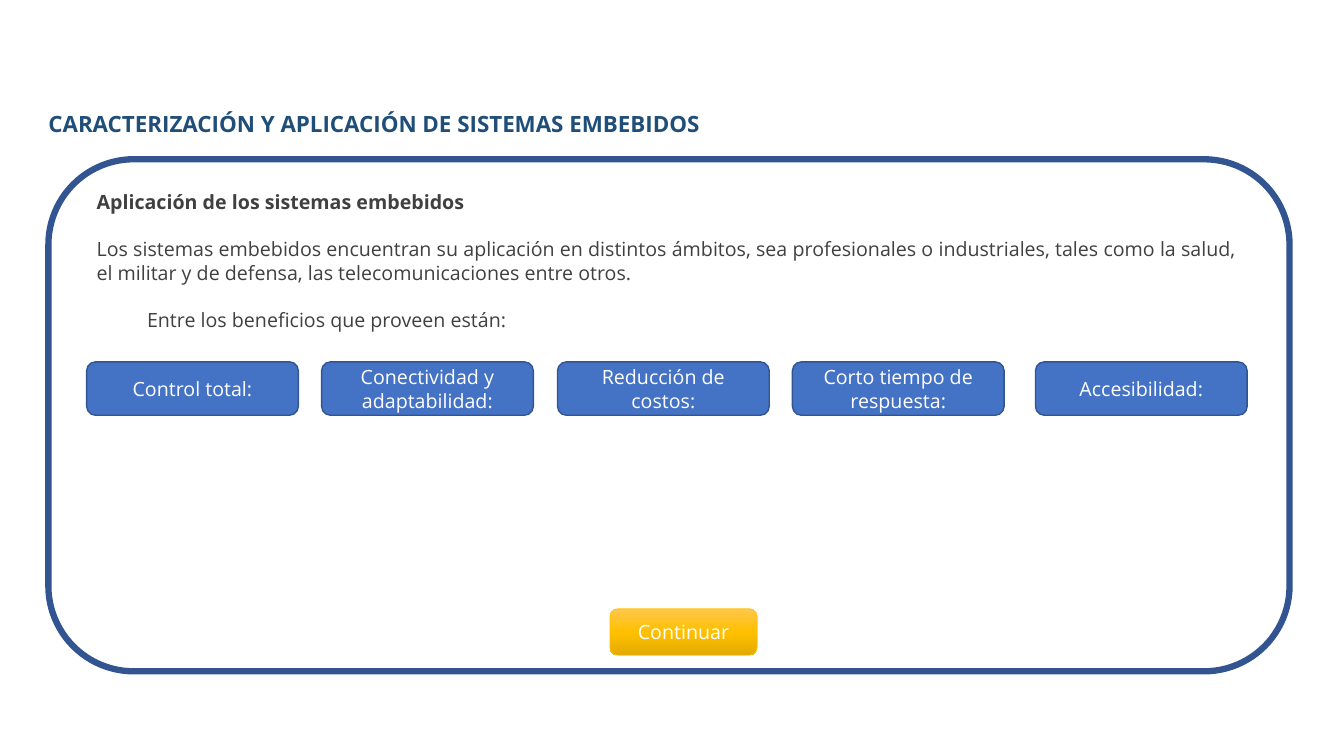
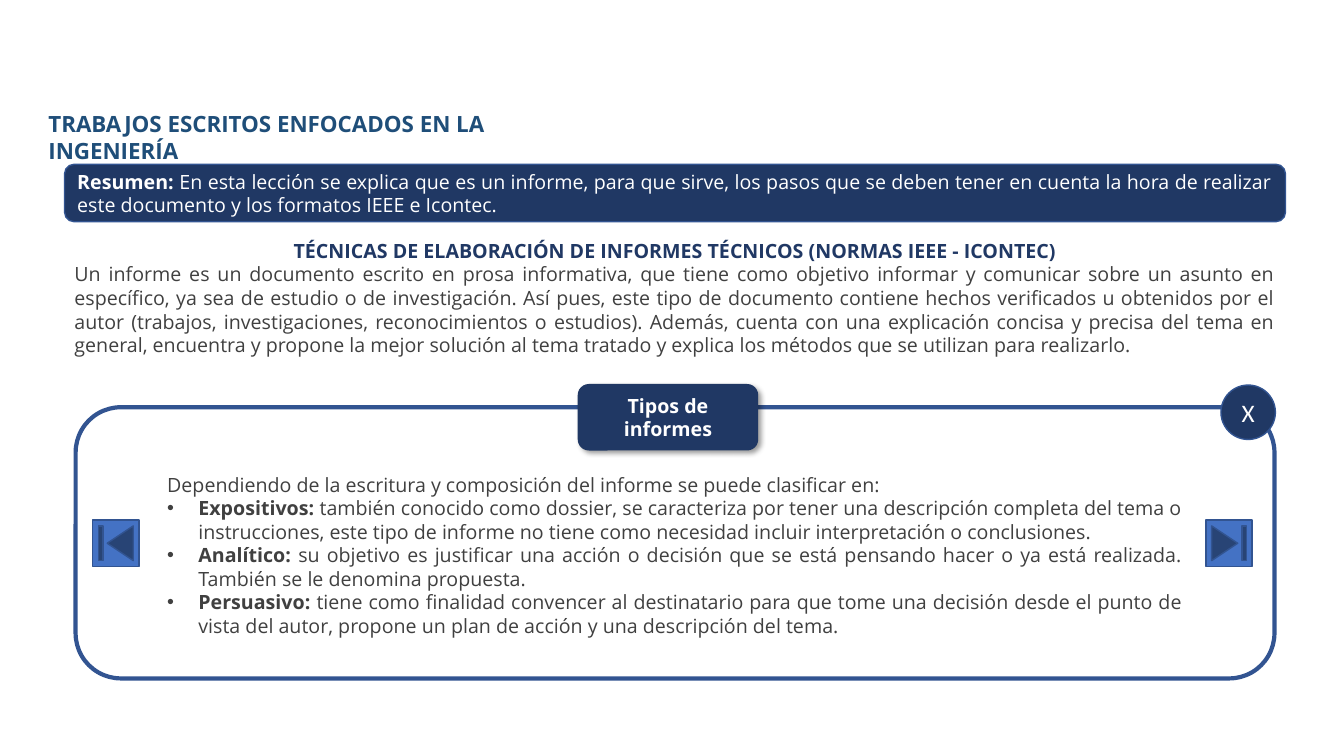
from copy import deepcopy

from lxml import etree
from pptx import Presentation
from pptx.dml.color import RGBColor
from pptx.enum.shapes import MSO_SHAPE
from pptx.enum.text import MSO_ANCHOR, MSO_AUTO_SIZE, PP_ALIGN
from pptx.oxml import parse_xml
from pptx.oxml.ns import nsdecls, qn
from pptx.util import Inches, Pt

LEFT, CENTER, JUSTIFY = PP_ALIGN.LEFT, PP_ALIGN.CENTER, PP_ALIGN.JUSTIFY
TOP, MIDDLE = MSO_ANCHOR.TOP, MSO_ANCHOR.MIDDLE
ROUNDED, OVAL = MSO_SHAPE.ROUNDED_RECTANGLE, MSO_SHAPE.OVAL
BACK, FORWARD = MSO_SHAPE.ACTION_BUTTON_BEGINNING, MSO_SHAPE.ACTION_BUTTON_END

TITLE_BLUE, NAVY, BLUE, OUTLINE = "1F4E79", "203864", "4472C4", "325491"
GRAY, WHITE, GOLD = "404040", "FFFFFF", "FFC000"
GOLD_STOPS = [(0, "FFC64B"), (0.5, GOLD), (1, "E3AB00")]

BODY = {"name": "Open Sans", "size": Pt(14), "bold": False}
STRONG = {**BODY, "bold": True}
TITLE = {**STRONG, "size": Pt(16)}
CLOSE = {"name": "Calibri", "size": Pt(18), "bold": False}


def write_text(box, paragraphs, anchor=MIDDLE):
    frame = box.text_frame
    frame.word_wrap = True
    frame.auto_size = MSO_AUTO_SIZE.NONE
    frame.vertical_anchor = anchor
    for index, (align, spans, layout) in enumerate(paragraphs):
        para = frame.add_paragraph() if index else frame.paragraphs[0]
        para.alignment = align
        para.space_before = Pt(layout.get("before", 0))
        properties = para._p.get_or_add_pPr()
        if "indent" in layout:
            properties.set("marL", str(Inches(layout["indent"])))
            properties.set("indent", "0")
        if "bullet" in layout:
            properties.set("indent", str(-Inches(layout["indent"])))
            etree.SubElement(properties, qn("a:buFont"), typeface="Arial")
            etree.SubElement(properties, qn("a:buChar"), char=layout["bullet"])
        for text, style, color in spans:
            span = para.add_run()
            span.text = text
            for name, value in style.items():
                setattr(span.font, name, value)
            span.font.color.rgb = RGBColor.from_string(color)


def add_box(page, kind, place, fill=None, line=OUTLINE, width=1):
    box = page.shapes.add_shape(kind, *map(Inches, place))
    box.shadow.inherit = False
    if fill:
        box.fill.solid()
        box.fill.fore_color.rgb = RGBColor.from_string(fill)
    else:
        box.fill.background()
    if line:
        box.line.color.rgb = RGBColor.from_string(line)
        box.line.width = Pt(width)
    else:
        box.line.fill.background()
    return box


deck = Presentation()
deck.slide_width, deck.slide_height = Inches(13.33), Inches(7.5)

pages = []
for heading, width in [
    ("CARACTERIZACIÓN Y APLICACIÓN DE SISTEMAS EMBEBIDOS", 7.03),
    ("TRABAJOS ESCRITOS ENFOCADOS EN LA INGENIERÍA", 4.57),
]:
    page = deck.slides.add_slide(deck.slide_layouts[5])
    title = page.shapes.title
    title.left, title.top = Inches(0.38), Inches(1.04)
    title.width, title.height = Inches(width), Inches(0.37)
    write_text(title, [(LEFT, [(heading, TITLE, TITLE_BLUE)], {})], TOP)
    pages.append(page)
benefits_page, reports_page = pages

add_box(benefits_page, ROUNDED, (0.48, 1.58, 12.31, 5.08), width=4.5)
introduction = benefits_page.shapes.add_textbox(
    Inches(0.86), Inches(1.89), Inches(11.51), Inches(1.39))
write_text(introduction, [
    (JUSTIFY, [("Aplicación de los sistemas embebidos", STRONG, GRAY)], {}),
    (JUSTIFY, [("Los sistemas embebidos encuentran su aplicación en distintos ámbitos, sea "
                "profesionales o industriales, tales como la salud, el militar y de defensa, "
                "las telecomunicaciones entre otros.", BODY, GRAY)], {"before": 17}),
    (JUSTIFY, [("Entre los beneficios que proveen están:", BODY, GRAY)],
     {"before": 17, "indent": 0.5}),
])

for left, benefit in [
    (0.86, "Control total:"),
    (3.19, "Conectividad y adaptabilidad:"),
    (5.53, "Reducción de costos:"),
    (7.86, "Corto tiempo de respuesta:"),
    (10.27, "Accesibilidad:"),
]:
    button = add_box(benefits_page, ROUNDED, (left, 3.59, 2.1, 0.53), BLUE)
    write_text(button, [(CENTER, [(benefit, BODY, WHITE)], {})])

continue_button = add_box(benefits_page, ROUNDED, (6.05, 6.04, 1.46, 0.46), GOLD, GOLD, 0.5)
continue_button.fill.gradient()
continue_button.fill.gradient_angle = 270
stop_list = continue_button._element.spPr.find(qn("a:gradFill")).find(qn("a:gsLst"))
stop_list.insert(1, deepcopy(stop_list[0]))
for stop, (position, color) in zip(continue_button.fill.gradient_stops, GOLD_STOPS):
    stop.position = position
    stop.color.rgb = RGBColor.from_string(color)
write_text(continue_button, [(CENTER, [("Continuar", BODY, WHITE)], {})])

description = reports_page.shapes.add_textbox(
    Inches(0.64), Inches(2.32), Inches(12.11), Inches(1.28))
write_text(description, [
    (CENTER, [("TÉCNICAS DE ELABORACIÓN DE INFORMES TÉCNICOS (NORMAS IEEE - ICONTEC)",
               STRONG, NAVY)], {}),
    (JUSTIFY, [("Un informe es un documento escrito en prosa informativa, que tiene como objetivo "
                "informar y comunicar sobre un asunto en específico, ya sea de estudio o de "
                "investigación. Así pues, este tipo de documento contiene hechos verificados u "
                "obtenidos por el autor (trabajos, investigaciones, reconocimientos o estudios). "
                "Además, cuenta con una explicación concisa y precisa del tema en general, "
                "encuentra y propone la mejor solución al tema tratado y explica los métodos que "
                "se utilizan para realizarlo.", BODY, GRAY)], {}),
], TOP)

summary = add_box(reports_page, ROUNDED, (0.64, 1.63, 12.11, 0.57), NAVY)
write_text(summary, [(JUSTIFY, [
    ("Resumen: ", STRONG, WHITE),
    ("En esta lección se explica que es un informe, para que sirve, los pasos que se deben tener "
     "en cuenta la hora de realizar este documento y los formatos IEEE e Icontec.", BODY, WHITE),
], {})])

add_box(reports_page, ROUNDED, (0.75, 4.04, 11.89, 2.69), width=3)
types_label = add_box(reports_page, ROUNDED, (5.73, 3.81, 1.79, 0.66), NAVY, None)
types_label._element.spPr.find(qn("a:effectLst")).append(parse_xml(
    f'<a:outerShdw {nsdecls("a")} blurRad="{Pt(4)}" dist="{Pt(3)}" dir="2700000" algn="tl" '
    'rotWithShape="0"><a:srgbClr val="000000"><a:alpha val="40000"/></a:srgbClr></a:outerShdw>'))
write_text(types_label, [(CENTER, [("Tipos de informes", STRONG, WHITE)], {})])

for kind, left in [(BACK, 0.92), (FORWARD, 11.96)]:
    add_box(reports_page, kind, (left, 5.16, 0.46, 0.46), BLUE)

report_types = [
    ("Expositivos: ", "también conocido como dossier, se caracteriza por tener una descripción "
     "completa del tema o instrucciones, este tipo de informe no tiene como necesidad incluir "
     "interpretación o conclusiones."),
    ("Analítico: ", "su objetivo es justificar una acción o decisión que se está pensando hacer "
     "o ya está realizada. También se le denomina propuesta."),
    ("Persuasivo: ", "tiene como finalidad convencer al destinatario para que tome una decisión "
     "desde el punto de vista del autor, propone un plan de acción y una descripción del tema."),
]
types_text = reports_page.shapes.add_textbox(
    Inches(1.56), Inches(4.64), Inches(10.27), Inches(1.75))
write_text(types_text, [
    (JUSTIFY, [("Dependiendo de la escritura y composición del informe se puede clasificar en:",
                BODY, GRAY)], {}),
    *[(JUSTIFY, [(name, STRONG, GRAY), (meaning, BODY, GRAY)], {"indent": 0.31, "bullet": "•"})
      for name, meaning in report_types],
], TOP)

close_button = add_box(reports_page, OVAL, (12.11, 3.82, 0.54, 0.54), NAVY)
write_text(close_button, [(CENTER, [("X", CLOSE, WHITE)], {})])

deck.save("out.pptx")
